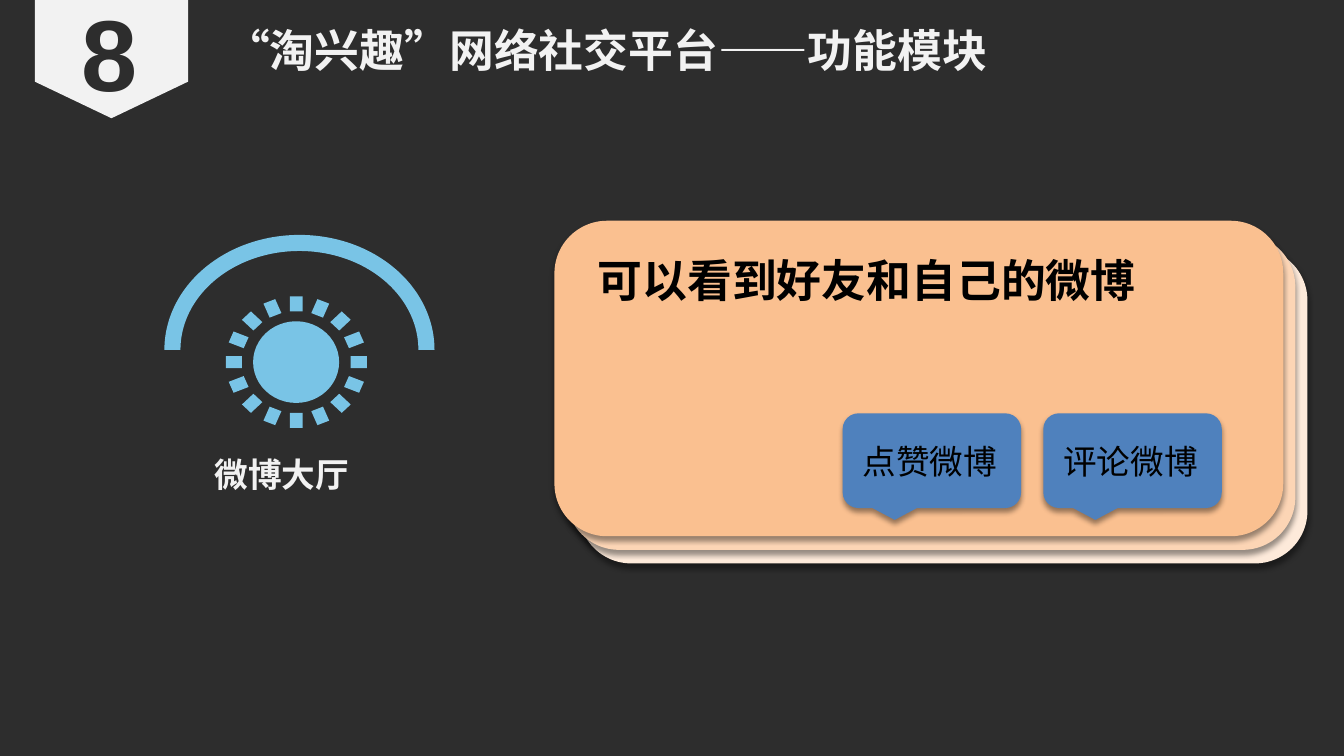
from dataclasses import dataclass
from math import cos, sin, tau

from lxml import etree
from pptx import Presentation
from pptx.dml.color import RGBColor
from pptx.enum.shapes import MSO_SHAPE
from pptx.enum.text import MSO_ANCHOR, MSO_AUTO_SIZE, PP_ALIGN
from pptx.oxml.ns import qn
from pptx.util import Inches, Pt

CARD = MSO_SHAPE.FLOWCHART_ALTERNATE_PROCESS
PLATE = MSO_SHAPE.PENTAGON
ARC = MSO_SHAPE.BLOCK_ARC
DISC = MSO_SHAPE.OVAL
CALLOUT = MSO_SHAPE.ROUNDED_RECTANGULAR_CALLOUT
TOP = MSO_ANCHOR.TOP
GROW = MSO_AUTO_SIZE.SHAPE_TO_FIT_TEXT
LEFT = PP_ALIGN.LEFT

DARK = RGBColor(0x2D, 0x2D, 0x2D)
LIGHT = RGBColor(0xF2, 0xF2, 0xF2)
BLACK = RGBColor(0x00, 0x00, 0x00)
SKY = RGBColor(0x79, 0xC4, 0xE6)
BLUE = RGBColor(0x4F, 0x81, 0xBD)
PEACH = RGBColor(0xFA, 0xC0, 0x90)
SAND = RGBColor(0xFC, 0xD5, 0xB5)
CREAM = RGBColor(0xFD, 0xEA, 0xDA)
HAN = "Noto Sans CJK SC"
SANS = "Arial"

deck = Presentation()
deck.slide_width, deck.slide_height = Inches(13.33), Inches(7.5)
COL = deck.slide_width / 100
ROW = deck.slide_height / 100
slide = deck.slides.add_slide(deck.slide_layouts[5])
slide.background.fill.solid()
slide.background.fill.fore_color.rgb = DARK


@dataclass
class Box:
    x: float
    y: float
    w: float
    h: float

    def rect(self) -> tuple[int, int, int, int]:
        return (round(self.x * COL), round(self.y * ROW),
                round(self.w * COL), round(self.h * ROW))


@dataclass
class Label:
    text: str
    box: Box
    size: int
    color: RGBColor
    bold: bool = True
    wrap: bool = True
    font: str = HAN


def paint(shape, color: RGBColor) -> None:
    shape.shadow.inherit = False
    shape.fill.solid()
    shape.fill.fore_color.rgb = color
    shape.line.fill.background()


def draw(kind: MSO_SHAPE, box: Box, color: RGBColor):
    shape = slide.shapes.add_shape(kind, *box.rect())
    paint(shape, color)
    return shape


def lift(shape) -> None:
    glow = shape.element.spPr.find(qn("a:effectLst"))
    cast = etree.SubElement(glow, qn("a:outerShdw"), blurRad=str(Pt(4)),
                            dist=str(Pt(3)), dir="5400000", rotWithShape="0")
    tint = etree.SubElement(cast, qn("a:srgbClr"), val="000000")
    etree.SubElement(tint, qn("a:alpha"), val="40000")


def write(label: Label, shape=None) -> None:
    rect = label.box.rect()
    if shape is None:
        shape = slide.shapes.add_textbox(*rect)
    shape.left, shape.top, shape.width, shape.height = rect
    frame = shape.text_frame
    frame.word_wrap = label.wrap
    frame.auto_size = GROW
    frame.vertical_anchor = TOP
    para = frame.paragraphs[0]
    para.alignment = LEFT
    run = para.add_run()
    run.text = label.text
    font = run.font
    font.name, font.size, font.bold = label.font, Pt(label.size), label.bold
    font.color.rgb = label.color
    etree.SubElement(run._r.get_or_add_rPr(), qn("a:ea"), typeface=label.font)


def rays(box: Box, count: int, inner: float, half: float) -> None:
    def spot(turn: float, far: float, side: float) -> tuple[float, float]:
        across = far * cos(turn) - side * sin(turn)
        down = far * sin(turn) + side * cos(turn)
        return ((box.x + box.w * (1 + across) / 2) * COL,
                (box.y + box.h * (1 + down) / 2) * ROW)

    path = None
    for step in range(count):
        turn = tau * step / count
        start, *rest = [spot(turn, far, side) for far, side in
                        ((inner, -half), (1, -half), (1, half), (inner, half))]
        if path is None:
            path = slide.shapes.build_freeform(*start)
        else:
            path.move_to(*start)
        path.add_line_segments(rest, close=True)
    paint(path.convert_to_shape(), SKY)


for step, color in ((2, CREAM), (1, SAND), (0, PEACH)):
    lift(draw(CARD, Box(41.25 + 0.9 * step, 29.2 + 1.8 * step, 54.23, 41.73), color))

plate = draw(PLATE, Box(3.9, -2.3, 8.78, 20.27), LIGHT)
plate.rotation = 90
plate.adjustments[0] = 0.31

arc = draw(ARC, Box(12.23, 31.07, 20.1, 30.4), SKY)
arc.adjustments[2] = 0.07
rays(Box(16.8, 39.2, 10.5, 17.4), 16, 0.77, 0.09)
draw(DISC, Box(18.83, 42.5, 6.4, 10.8), SKY)

write(Label("“淘兴趣”网络社交平台——功能模块", Box(16, 2.4, 76.13, 8.53), 32, LIGHT),
      slide.shapes.title)

labels = [
    Label("8", Box(5.33, -1.87, 5.7, 17.47), 72, DARK, wrap=False, font=SANS),
    Label("微博大厅", Box(15.23, 59.33, 11.48, 6.67), 24, LIGHT, wrap=False),
    Label("可以看到好友和自己的微博", Box(43.73, 32.8, 48.45, 8.53), 32, BLACK),
]
for step, text in enumerate(("点赞微博", "评论微博")):
    left = 62.7 + 14.93 * step
    lift(draw(CALLOUT, Box(left, 54.67, 13.28, 12.53), BLUE))
    labels.append(Label(text, Box(left + 0.75, 57.6, 11.78, 6.67), 24, BLACK, bold=False))
for label in labels:
    write(label)

deck.save("out.pptx")
